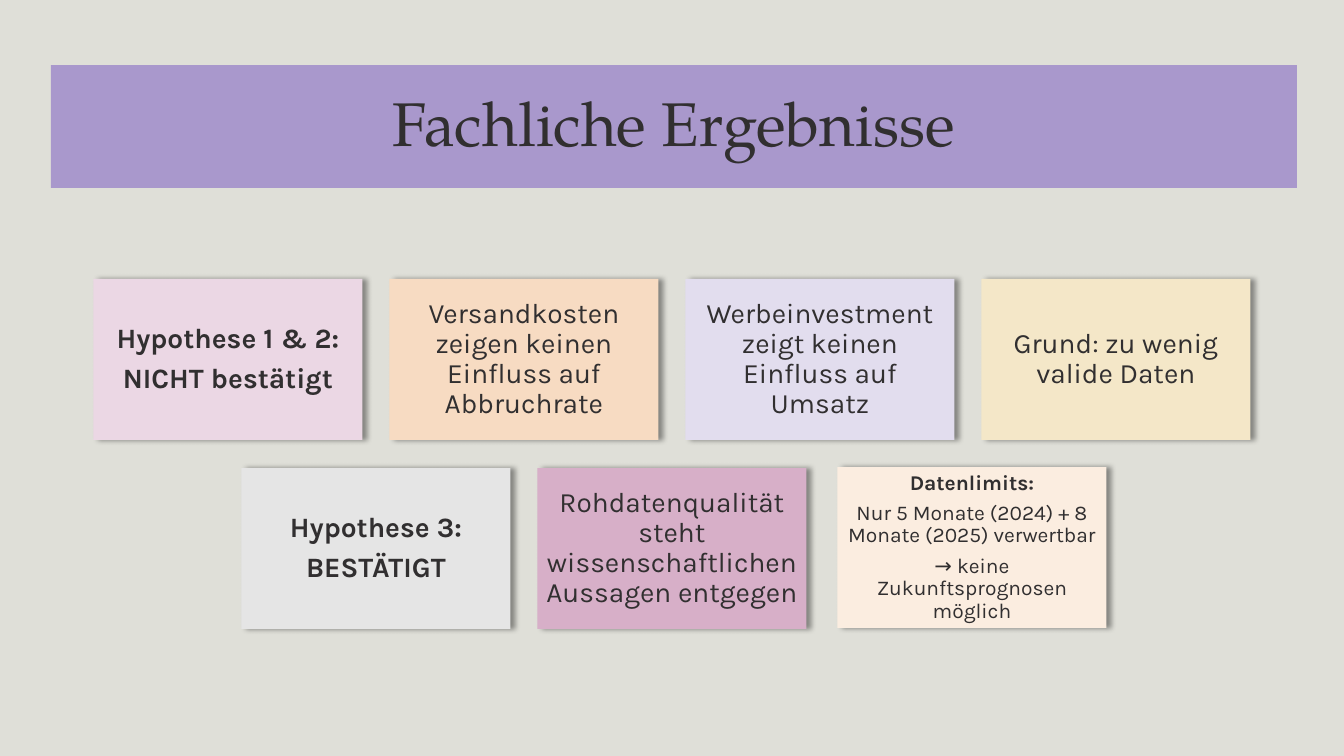
from lxml import etree
from pptx import Presentation
from pptx import util as u
from pptx.dml.color import RGBColor
from pptx.enum import shapes, text
from pptx.oxml import ns

PX = 914400 / 100.8
SLIDE_W, SLIDE_H = 1344, 756
CARD_W, CARD_H = 269, 161
PITCH_X, PITCH_Y = 296, 189
CARDS_TOP = 279
INK = "312F30"

# Each card: fill, paragraphs as (wording, bold), then optional differences.
CARD_ROWS = [
    [
        ("EBD7E4", [("Hypothese 1 & 2:", True), ("NICHT bestätigt", True)], {}),
        ("F7DBC2", [("Versandkosten zeigen keinen Einfluss auf Abbruchrate", False)], {}),
        ("E2DDEE", [("Werbeinvestment zeigt keinen Einfluss auf Umsatz", False)], {}),
        ("F4E7C8", [("Grund: zu wenig valide Daten", False)], {}),
    ],
    [
        ("E5E5E5", [("Hypothese 3:", True), ("BESTÄTIGT", True)], {}),
        ("D7AFC8", [("Rohdatenqualität steht wissenschaftlichen Aussagen entgegen", False)], {}),
        ("FBEDE0", [("Datenlimits:", True),
                    ("Nur 5 Monate (2024) + 8 Monate (2025) verwertbar", False),
                    ("→ keine Zukunftsprognosen möglich", False)],
         {"size": 15, "inset": 6, "shift": (4, -1)}),
    ],
]


def px(length):
    return u.Emu(round(length * PX))


def color(hex_value):
    return RGBColor.from_string(hex_value)


def set_all(target, values):
    for name, value in values.items():
        setattr(target, name, value)


def paint(fill, hex_value):
    fill.solid()
    fill.fore_color.rgb = color(hex_value)


def add_shadow(shape):
    """Give the shape a soft black shadow to its right."""
    effects = etree.SubElement(shape._element.spPr, ns.qn("a:effectLst"))
    shadow = etree.SubElement(effects, ns.qn("a:outerShdw"), blurRad=str(u.Pt(4)),
                              dist=str(u.Pt(3)), dir="0", algn="l", rotWithShape="0")
    black = etree.SubElement(shadow, ns.qn("a:srgbClr"), val="000000")
    etree.SubElement(black, ns.qn("a:alpha"), val="40000")


def write(shape, paragraphs, font, size, inset):
    frame = shape.text_frame
    set_all(frame, {"word_wrap": True, "auto_size": text.MSO_AUTO_SIZE.NONE,
                    "vertical_anchor": text.MSO_ANCHOR.MIDDLE})
    set_all(frame, {f"margin_{side}": px(inset) for side in ("left", "top", "right", "bottom")})
    for number, (wording, bold) in enumerate(paragraphs):
        para = frame.add_paragraph() if number else frame.paragraphs[0]
        set_all(para, {"alignment": text.PP_ALIGN.CENTER, "line_spacing": 0.9,
                       "space_before": u.Pt(0), "space_after": u.Pt(0.35 * size)})
        span = para.add_run()
        span.text = wording
        set_all(span.font, {"name": font, "size": u.Pt(size), "bold": bold})
        span.font.color.rgb = color(INK)


def add_title(page, wording):
    title = page.shapes.title
    set_all(title, {"left": px(51), "top": px(65), "width": px(1246), "height": px(123)})
    paint(title.fill, "A998CC")
    write(title, [(wording, False)], "TeX Gyre Pagella", 44, 5)
    title.text_frame.paragraphs[0].space_after = u.Pt(0)


def add_card(page, left, top, fill, paragraphs, size=20, inset=8, shift=(0, 0)):
    card = page.shapes.add_shape(shapes.MSO_SHAPE.RECTANGLE, px(left + shift[0]),
                                 px(top + shift[1]), px(CARD_W), px(CARD_H))
    paint(card.fill, fill)
    card.line.fill.background()
    add_shadow(card)
    write(card, paragraphs, "Karla", size, inset)


def add_card_rows(page):
    """Lay out each row of cards centred on the slide."""
    for row, cards in enumerate(CARD_ROWS):
        row_width = (len(cards) - 1) * PITCH_X + CARD_W
        row_left = (SLIDE_W - row_width) / 2
        for column, (fill, paragraphs, differences) in enumerate(cards):
            add_card(page, row_left + column * PITCH_X, CARDS_TOP + row * PITCH_Y,
                     fill, paragraphs, **differences)


def main():
    deck = Presentation()
    set_all(deck, {"slide_width": px(SLIDE_W), "slide_height": px(SLIDE_H)})
    page = deck.slides.add_slide(deck.slide_layouts[5])
    paint(page.background.fill, "DFDFD8")
    add_title(page, "Fachliche Ergebnisse")
    add_card_rows(page)
    deck.save("out.pptx")


if __name__ == "__main__":
    main()
